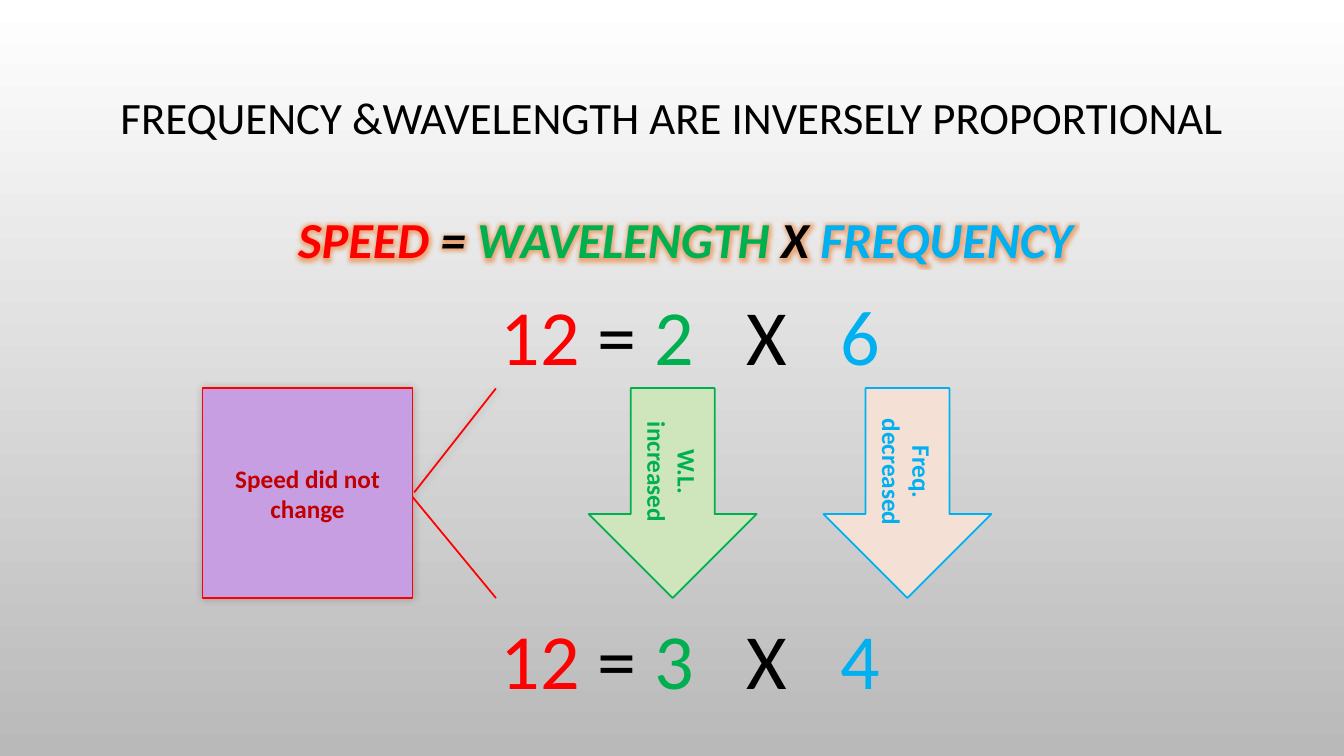
from dataclasses import dataclass
from typing import NamedTuple

from lxml.etree import SubElement
from pptx import Presentation
from pptx.dml.color import RGBColor
from pptx.enum.shapes import MSO_CONNECTOR, MSO_SHAPE
from pptx.enum.text import MSO_ANCHOR, PP_ALIGN
from pptx.oxml import parse_xml
from pptx.oxml.ns import nsdecls, qn
from pptx.util import Pt


@dataclass(frozen=True)
class Theme:
    font: str = "Calibri"
    black: str = "000000"
    speed: str = "FF0000"
    wavelength: str = "00B050"
    frequency: str = "00B0F0"
    note_text: str = "C00000"
    note_fill: str = "C89EE3"
    glow: str = "ED7D31"
    backdrop: tuple = ("FFFFFF", "B9B9B9")
    title_size: float = 32
    formula_size: float = 36
    number_size: float = 55.8
    label_size: float = 18
    outline: float = 1.25


class Box(NamedTuple):
    left: float
    top: float
    width: float
    height: float

    def lengths(self) -> list:
        return [Pt(value) for value in self]


class Change(NamedTuple):
    label: str
    left: float
    fill: str
    color: str


class Equation(NamedTuple):
    top: float
    speed: str
    wavelength: str
    frequency: str


THEME = Theme()
ROW_TOP, ROW_HEIGHT = 277.2, 150
NOTE = Box(144.7, ROW_TOP, 150, ROW_HEIGHT)
CHANGES = [
    Change("W.L. increased", 420.5, "CFE6BC", THEME.wavelength),
    Change("Freq. decreased", 588.2, "F5E0D6", THEME.frequency),
]
EQUATIONS = [Equation(205.5, "12", "2", "6"), Equation(437, "12", "3", "4")]
EQUATION_TABS = (175.7, 242.5)


def rgb(color: str) -> RGBColor:
    return RGBColor.from_string(color)


def write(frame, parts, *, size, bold=False, italic=False, align=PP_ALIGN.CENTER,
          anchor=MSO_ANCHOR.MIDDLE, spacing=1.0, tabs=(), glow=None) -> None:
    """Write (text, color) parts as one paragraph."""
    frame.word_wrap = True
    frame.vertical_anchor = anchor
    paragraph = frame.paragraphs[0]
    paragraph.alignment = align
    paragraph.line_spacing = spacing
    if tabs:
        stops = SubElement(paragraph._p.get_or_add_pPr(), qn("a:tabLst"))
        for position in tabs:
            SubElement(stops, qn("a:tab"), pos=str(Pt(position)), algn="l")
    for text, color in parts:
        run = paragraph.add_run()
        run.text = text
        font = run.font
        font.name, font.size = THEME.font, Pt(size)
        font.bold, font.italic = bold, italic
        font.color.rgb = rgb(color)
        if glow:
            run._r.rPr.find(qn("a:solidFill")).addnext(parse_xml(
                f'<a:effectLst {nsdecls("a")}><a:glow rad="{Pt(8)}">'
                f'<a:srgbClr val="{glow}"><a:alpha val="60000"/></a:srgbClr>'
                '</a:glow></a:effectLst>'))


def add_outlined(slide, kind: MSO_SHAPE, box: Box, fill: str, line: str):
    shape = slide.shapes.add_shape(kind, *box.lengths())
    shape.shadow.inherit = False
    shape.fill.solid()
    shape.fill.fore_color.rgb = rgb(fill)
    shape.line.color.rgb = rgb(line)
    shape.line.width = Pt(THEME.outline)
    return shape


def add_backdrop(slide) -> None:
    fill = slide.background.fill
    fill.gradient()
    fill.gradient_angle = 270
    for stop, color, position in zip(fill.gradient_stops, THEME.backdrop, (0, 1)):
        stop.color.rgb = rgb(color)
        stop.position = position


def add_title(slide) -> None:
    title = slide.shapes.title
    title.left, title.top, title.width, title.height = Box(72, 31, 816, 109).lengths()
    write(title.text_frame, [("FREQUENCY &WAVELENGTH ARE INVERSELY PROPORTIONAL", THEME.black)],
          size=THEME.title_size, spacing=0.9)


def add_formula(slide) -> None:
    formula = slide.shapes.add_textbox(*Box(81.5, 110.2, 816, 126).lengths())
    parts = [("SPEED", THEME.speed), (" = ", THEME.black), ("WAVELENGTH", THEME.wavelength),
             (" X ", THEME.black), ("FREQUENCY", THEME.frequency)]
    write(formula.text_frame, parts, size=THEME.formula_size, bold=True, italic=True,
          spacing=0.9, glow=THEME.glow)


def add_equation(slide, equation: Equation) -> None:
    box = slide.shapes.add_textbox(*Box(357.6, equation.top, 290, 68).lengths())
    frame = box.text_frame
    frame.margin_left = frame.margin_right = frame.margin_top = frame.margin_bottom = 0
    parts = [(equation.speed, THEME.speed), (" = ", THEME.black),
             (equation.wavelength, THEME.wavelength), ("\tX\t", THEME.black),
             (equation.frequency, THEME.frequency)]
    write(frame, parts, size=THEME.number_size, align=PP_ALIGN.LEFT,
          anchor=MSO_ANCHOR.TOP, tabs=EQUATION_TABS)


def add_speed_note(slide) -> None:
    note = add_outlined(slide, MSO_SHAPE.LINE_CALLOUT_1, NOTE, THEME.note_fill, THEME.speed)
    for index, value in enumerate((0.497, 1.008, 0.002, 1.397)):
        note.adjustments[index] = value
    effects = note._element.spPr.find(qn("a:effectLst"))
    shadow = SubElement(effects, qn("a:outerShdw"), blurRad=str(Pt(6)), dist="0", dir="13500000")
    shade = SubElement(shadow, qn("a:srgbClr"), val=THEME.black)
    SubElement(shade, qn("a:alpha"), val="20000")
    write(note.text_frame, [("Speed did not change", THEME.note_text)],
          size=THEME.label_size, bold=True)

    # Lower branch, towards the second equation
    branch = slide.shapes.add_connector(
        MSO_CONNECTOR.STRAIGHT, Pt(294.7), Pt(355), Pt(354.3), Pt(ROW_TOP + ROW_HEIGHT))
    branch.line.color.rgb = rgb(THEME.speed)
    branch.line.width = Pt(THEME.outline)
    SubElement(branch._element.spPr, qn("a:effectLst"))


def add_change(slide, change: Change) -> None:
    arrow = add_outlined(slide, MSO_SHAPE.DOWN_ARROW, Box(change.left, ROW_TOP, 120, ROW_HEIGHT),
                         change.fill, change.color)
    frame = arrow.text_frame
    frame.margin_top = frame.margin_bottom = Pt(14)
    frame._txBody.bodyPr.set("vert", "vert")
    write(frame, [(change.label, change.color)], size=THEME.label_size, bold=True)


def main() -> None:
    deck = Presentation()
    deck.slide_width, deck.slide_height = Pt(960), Pt(540)
    slide = deck.slides.add_slide(deck.slide_layouts[5])
    add_backdrop(slide)
    # Heading and formula
    add_title(slide)
    add_formula(slide)
    # Worked numbers, before and after
    for equation in EQUATIONS:
        add_equation(slide, equation)
    # What changed and what did not
    add_speed_note(slide)
    for change in CHANGES:
        add_change(slide, change)
    deck.save("out.pptx")


if __name__ == "__main__":
    main()
